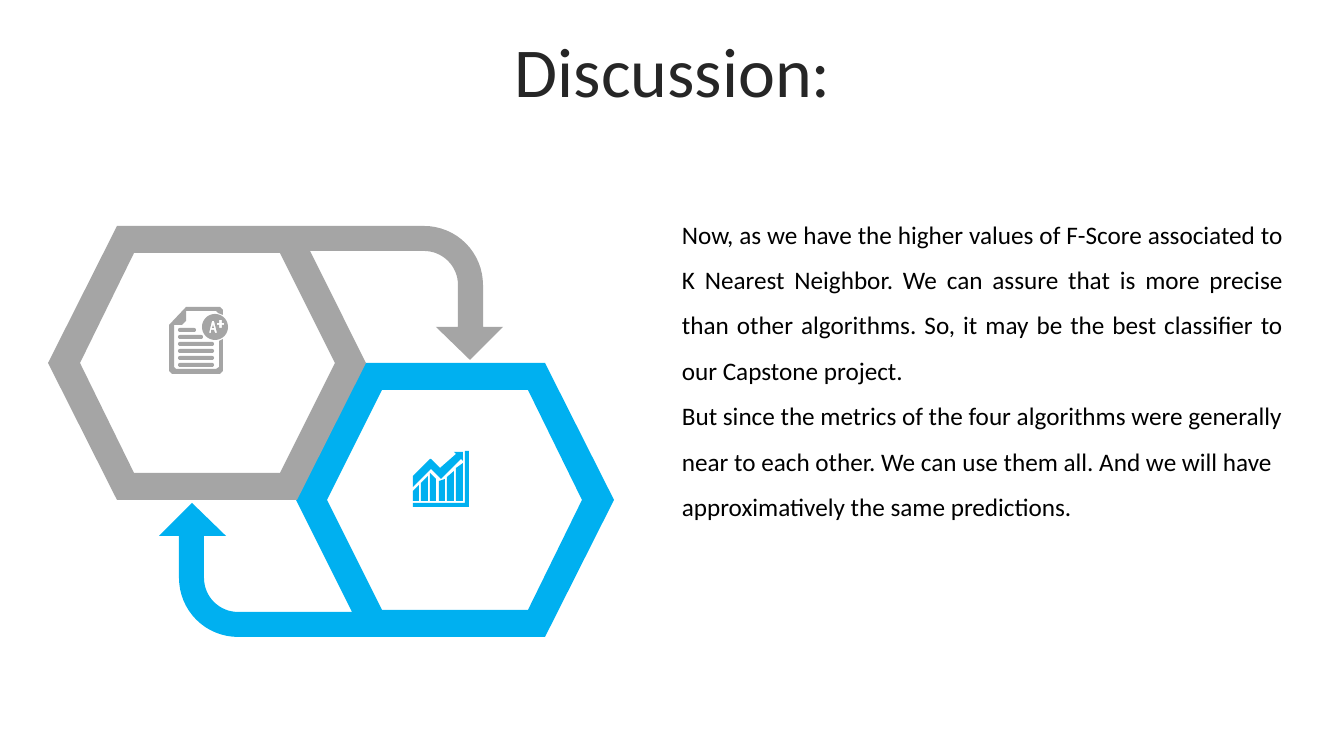
from math import cos, radians, sin

from pptx import Presentation
from pptx.dml.color import RGBColor
from pptx.enum.text import MSO_ANCHOR as Anchor, MSO_AUTO_SIZE as AutoSize, PP_ALIGN as Align
from pptx.util import Emu, Pt

PX = 914400 / 100.8
FONT = "Calibri"
COLORS = {"title": "262626", "body": "000000", "gray": "A5A5A5", "blue": "00B0F0"}

FINDINGS = [
    ("Now, as we have the higher values of F-Score associated to K Nearest Neighbor. "
     "We can assure that is more precise than other algorithms. So, it may be the best "
     "classifier to our Capstone project.",
     {"alignment": Align.JUSTIFY, "line_spacing": 1.5, "space_before": Pt(12)}),
    ("But since the metrics of the four algorithms were generally near to each other. "
     "We can use them all. And we will have approximatively the same predictions.",
     {"alignment": Align.LEFT, "line_spacing": 1.5}),
]


def px(length):
    return Emu(round(length * PX))


def set_all(target, values):
    for key, value in values.items():
        setattr(target, key, value)


def arc(cx, cy, radius, start, end, steps=16):
    """Points on a circle; angles in degrees, clockwise from the right."""
    angles = [radians(start + (end - start) * i / steps) for i in range(steps + 1)]
    return [(cx + radius * cos(a), cy + radius * sin(a)) for a in angles]


def pill(left, top, right, radius):
    middle = top + radius
    return (arc(left + radius, middle, radius, 90, 270)
            + arc(right - radius, middle, radius, -90, 90))


def draw_outline(slide, contours, color):
    """One filled shape; inner contours become holes."""
    scaled = [[(px(x), px(y)) for x, y in contour] for contour in contours]
    builder = slide.shapes.build_freeform(*scaled[0][0], scale=1.0)
    for number, contour in enumerate(scaled):
        if number:
            builder.move_to(*contour[0])
        builder.add_line_segments(contour[1:], close=True)
    outline = builder.convert_to_shape()
    outline.shadow.inherit = False
    outline.fill.solid()
    outline.fill.fore_color.rgb = RGBColor.from_string(COLORS[color])
    outline.line.fill.background()


def write_paragraph(paragraph, text, layout, size, color):
    set_all(paragraph, layout)
    run = paragraph.add_run()
    run.text = text
    set_all(run.font, {"name": FONT, "size": Pt(size), "bold": False})
    run.font.color.rgb = RGBColor.from_string(COLORS[color])


def add_title(slide):
    title = slide.shapes.title
    set_all(title, {"left": px(35), "top": px(37), "width": px(1276), "height": px(80)})
    set_all(title.text_frame, {"word_wrap": True, "auto_size": AutoSize.NONE,
                               "vertical_anchor": Anchor.MIDDLE})
    layout = {"alignment": Align.CENTER, "line_spacing": 0.8, "space_before": Pt(10)}
    write_paragraph(title.text_frame.paragraphs[0], "Discussion:", layout, 50, "title")


def add_findings(slide):
    frame = slide.shapes.add_textbox(px(672), px(199), px(621), px(326)).text_frame
    set_all(frame, {"word_wrap": True, "auto_size": AutoSize.SHAPE_TO_FIT_TEXT})
    for number, (text, layout) in enumerate(FINDINGS):
        paragraph = frame.add_paragraph() if number else frame.paragraphs[0]
        write_paragraph(paragraph, text, layout, 18, "body")


def add_cycle(slide):
    """Two hexagons with bent arrows; the blue one is the gray one turned by 180°."""
    hole = [(134, 253), (80, 363), (134, 473), (280, 473), (335, 363), (280, 253)]
    bend = (424, 285)
    border = [(117, 226), *arc(*bend, 59, -90, 0),
              (483, 327), (503, 327), (470, 360), (436, 327), (458, 327),
              *arc(*bend, 34, 0, -90),
              (310, 251), (366, 363), (297, 500), (117, 500), (48, 363)]
    turned = [[(662 - x, 863 - y) for x, y in contour] for contour in (hole, border)]
    draw_outline(slide, turned, "blue")
    draw_outline(slide, [hole, border], "gray")


def add_growth_icon(slide):
    # left, right, top at left, top at right
    bars = [(413, 419, 491, 485), (421, 428, 483, 476), (430, 436, 473, 479),
            (439, 445, 481, 479), (447, 454, 477, 471), (456, 463, 468, 463)]
    columns = [[(left, 501), (left, top_left), (right, top_right), (right, 501)]
               for left, right, top_left, top_right in bars]
    trend = [(463, 452), (463, 461), (461, 459), (441, 479), (431, 469), (413, 487),
             (413, 476), (430, 459), (431, 459), (440, 468), (456, 454), (454, 452)]
    axes = [(465, 451), (469, 451), (469, 507), (413, 507), (413, 503), (465, 503)]
    draw_outline(slide, [*columns, trend, axes], "blue")


def add_report_icon(slide):
    sheet = [(186, 307), (220, 307), (223, 310), (223, 315), (218, 313), (216, 311),
             (186, 311), (186, 321), (182, 325), (174, 325), (174, 367), (176, 369),
             (216, 369), (219, 367), (219, 341), (223, 339), (223, 371), (220, 374),
             (172, 374), (169, 371), (169, 325)]
    line_ends = [196, 203, 214, 214, 214, 214]
    lines = [pill(178, 328 + 7 * row, end, 2) for row, end in enumerate(line_ends)]
    # Grade badge with A and plus cut out
    badge = arc(215, 327, 13, 0, 360, 40)
    letter = [(209, 333), (212, 321), (214, 321), (217, 333), (215, 333), (214, 330),
              (211, 330), (211, 333)]
    counter = [(212, 328), (213, 325), (214, 328)]
    plus = [(219, 320), (222, 320), (222, 323), (224, 323), (224, 325), (222, 325),
            (222, 328), (219, 328), (219, 325), (217, 325), (217, 323), (219, 323)]
    draw_outline(slide, [sheet, *lines, badge, letter, counter, plus], "gray")


def main():
    deck = Presentation()
    set_all(deck, {"slide_width": px(1344), "slide_height": px(756)})
    slide = deck.slides.add_slide(deck.slide_layouts.get_by_name("Title Only"))
    add_title(slide)
    add_cycle(slide)
    add_growth_icon(slide)
    add_report_icon(slide)
    add_findings(slide)
    deck.save("out.pptx")


if __name__ == "__main__":
    main()
